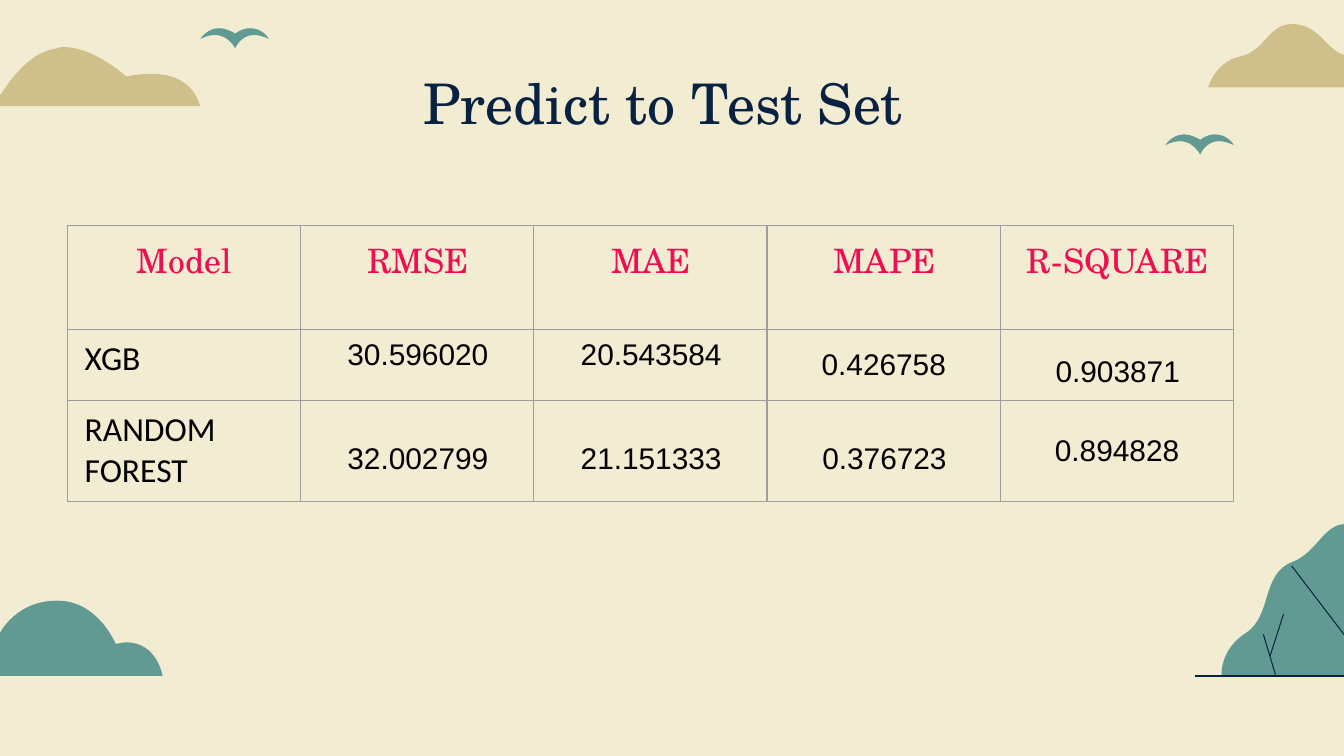
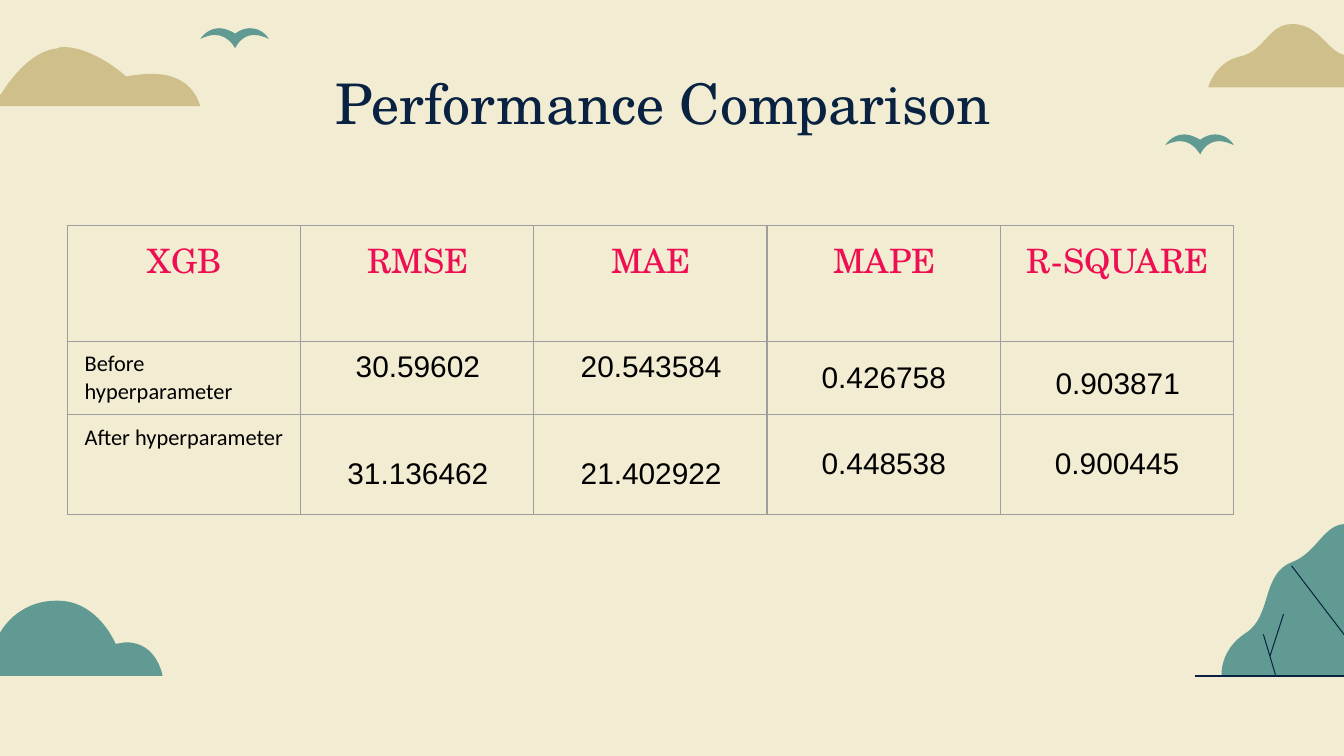
from lxml import etree
from pptx import Presentation
from pptx.dml.color import RGBColor
from pptx.enum import shapes, text
from pptx.oxml import ns
from pptx.util import Inches, Pt

CREAM = RGBColor(0xF2, 0xEC, 0xD2)
SAND = RGBColor(0xCF, 0xBF, 0x8B)
TEAL = RGBColor(0x60, 0x9A, 0x92)
NAVY = RGBColor(0x09, 0x22, 0x42)
PINK = RGBColor(0xED, 0x0F, 0x51)
BLACK = RGBColor(0, 0, 0)
BORDER = "9E9E9E"
SERIF, LABEL_FONT, NUMBER_FONT = "TeX Gyre Schola", "Calibri", "Arial"

# Outlines: a start point, then segments of one point (line) or three (curve).
BIRD = [(.37, 0), (.47, 0, .51, .08, .51, .08), (.47, .06, .43, .05, .4, .05),
        (.3, .05, .26, .15, .26, .15), (.26, .15, .21, .05, .11, .05),
        (.08, .05, .04, .06, 0, .08), (0, .08, .05, 0, .14, 0),
        (.17, 0, .21, .01, .26, .04), (.3, .01, .34, 0, .37, 0)]
RIGHT_DUNE = [(9.61, .18), (9.62, .18, 9.63, .18, 9.64, .18),
              (9.83, .2, 9.88, .39, 10.01, .41),
              (10.12, .44, 10.45, .42, 10.5, .65), (8.99, .65),
              (8.99, .65, 9.04, .46, 9.23, .42),
              (9.41, .38, 9.44, .18, 9.61, .18)]
LEFT_DUNE = [(.47, .35), (.7, .35, .94, .57, .94, .57),
             (.94, .57, 1.03, .55, 1.13, .55),
             (1.26, .55, 1.43, .59, 1.49, .79), (-.31, .79), (.01, .7),
             (.01, .7, .19, .38, .43, .36), (.44, .35, .46, .35, .47, .35)]
BUSH = [(.42, 4.47), (.12, 4.47, 0, 4.71, 0, 4.71),
        (0, 4.71, -.41, 4.71, -.43, 5.03), (1.21, 5.03),
        (1.21, 5.03, 1.17, 4.78, .94, 4.78), (.91, 4.78, .89, 4.79, .86, 4.79),
        (.86, 4.79, .73, 4.47, .43, 4.47), (.43, 4.47, .42, 4.47, .42, 4.47)]
ROCK = [(10.01, 3.9), (9.85, 3.9, 9.8, 4.11, 9.62, 4.18),
        (9.38, 4.27, 9.47, 4.58, 9.27, 4.71), (9.07, 4.84, 9.09, 5.03, 9.09, 5.03),
        (9.09, 5.03), (10.94, 5.03), (10.94, 5.03, 10.91, 4.68, 10.67, 4.51),
        (10.44, 4.35, 10.52, 4.15, 10.19, 3.96),
        (10.12, 3.92, 10.06, 3.9, 10.01, 3.9)]
ROCK_LINES = [(9.61, 4.21, 10.03, 4.76), (9.4, 4.72, 9.49, 5.02),
              (9.55, 4.57, 9.45, 4.88), (8.89, 5.03, 11.11, 5.03)]


def add_outline(s, outline, color, left=0, top=0):
    points = [(Inches(x + left), Inches(y + top))
              for seg in outline for x, y in zip(seg[::2], seg[1::2])]
    builder = s.shapes.build_freeform(*points[0])
    builder.add_line_segments(points[1:], close=True)
    sp = builder.convert_to_shape()
    sp.shadow.inherit = False
    sp.fill.solid()
    sp.fill.fore_color.rgb = color
    sp.line.fill.background()
    bend_segments(sp, outline)


def bend_segments(sp, outline):
    """Merge each three lines that stand for a curve into one cubic curve."""
    lines = iter(list(sp._element.iter(ns.qn("a:lnTo"))))
    for seg in outline[1:]:
        first = next(lines)
        if len(seg) == 6:
            curve = etree.Element(ns.qn("a:cubicBezTo"))
            first.addprevious(curve)
            for line in (first, next(lines), next(lines)):
                curve.append(line[0])
                line.getparent().remove(line)


def add_line(s, ends):
    line = s.shapes.add_connector(shapes.MSO_CONNECTOR.STRAIGHT,
                                  *[Inches(v) for v in ends])
    line.line.color.rgb = NAVY
    line.line.width = Pt(0.54)
    etree.SubElement(line._element.spPr, ns.qn("a:effectLst"))


def add_scenery(s):
    """Draw the landscape on the slide, then move it to the shared layout."""
    kept = len(s.shapes)
    for left, top in ((8.67, 1), (1.49, .21)):
        add_outline(s, BIRD, TEAL, left, top)
    for outline, color in ((RIGHT_DUNE, SAND), (LEFT_DUNE, SAND),
                           (BUSH, TEAL), (ROCK, TEAL)):
        add_outline(s, outline, color)
    for ends in ROCK_LINES:
        add_line(s, ends)
    layout_tree = s.slide_layout.shapes._spTree
    for sp in list(s.shapes)[kept:]:
        layout_tree.append(sp._element)


def write(tf, words, size, font, color, align=text.PP_ALIGN.CENTER, spacing=None):
    p = tf.paragraphs[0]
    p.alignment = align
    if spacing:
        p.line_spacing = spacing
    r = p.add_run()
    r.text = words
    r.font.size = Pt(size)
    r.font.name = font
    r.font.color.rgb = color


def set_title(s, words):
    title = s.shapes.title
    title.left, title.top, title.width, title.height = (
        Inches(v) for v in (.78, .41, 8.42, .52))
    tf = title.text_frame
    tf.auto_size = text.MSO_AUTO_SIZE.NONE
    tf.word_wrap = True
    tf.vertical_anchor = text.MSO_ANCHOR.TOP
    tf.margin_left = tf.margin_right = tf.margin_top = tf.margin_bottom = Inches(.1)
    write(tf, words, 30, SERIF, NAVY)


def set_borders(cell):
    tc_pr = cell._tc.get_or_add_tcPr()
    for i, side in enumerate(("lnL", "lnR", "lnT", "lnB")):
        ln = etree.Element(ns.qn(f"a:{side}"), w=str(Pt(.75)))
        fill = etree.SubElement(ln, ns.qn("a:solidFill"))
        etree.SubElement(fill, ns.qn("a:srgbClr"), val=BORDER)
        tc_pr.insert(i, ln)


def format_cell(cell, middle=False):
    cell.fill.background()
    set_borders(cell)
    if middle:
        cell.vertical_anchor = text.MSO_ANCHOR.MIDDLE
    else:
        cell.margin_left, cell.margin_right = Inches(.13), Inches(.12)
        cell.margin_top = cell.margin_bottom = Inches(.07)


def add_score_table(s, header, rows, header_height, label_size, spacings):
    """Add the scores; a spacing of "middle" centres that cell vertically."""
    heights = (header_height, .53, .74)
    width = Inches(8.68)
    table = s.shapes.add_table(len(heights), len(header), Inches(.5), Inches(1.68),
                               width, Inches(sum(heights))).table
    table.first_row = table.horz_banding = False
    for column in table.columns:
        column.width = width // len(header)
    for row, height in zip(table.rows, heights):
        row.height = Inches(height)

    for c, words in enumerate(header):
        cell = table.cell(0, c)
        format_cell(cell)
        write(cell.text_frame, words, 18, SERIF, PINK)
    for r, (label, *scores) in enumerate(rows, 1):
        cell = table.cell(r, 0)
        format_cell(cell)
        write(cell.text_frame, label, label_size, LABEL_FONT, BLACK,
              align=text.PP_ALIGN.LEFT)
        for c, (score, spacing) in enumerate(zip(scores, spacings[r - 1]), 1):
            cell = table.cell(r, c)
            middle = spacing == "middle"
            format_cell(cell, middle)
            write(cell.text_frame, score, 16, NUMBER_FONT, BLACK,
                  spacing=None if middle else spacing)


def add_score_slide(prs, layout, title, **table):
    s = prs.slides.add_slide(layout)
    set_title(s, title)
    add_score_table(s, **table)
    return s


def main():
    prs = Presentation()
    prs.slide_width, prs.slide_height = Inches(10), Inches(5.625)
    layout = prs.slide_layouts[5]
    layout.background.fill.solid()
    layout.background.fill.fore_color.rgb = CREAM
    metrics = ["RMSE", "MAE", "MAPE", "R-SQUARE"]
    first_row = (None, None, "middle", 1.5)
    s = add_score_slide(
        prs, layout, "Predict to Test Set ", header=["Model"] + metrics,
        rows=[("XGB", "30.596020", "20.543584", "0.426758", "0.903871"),
              ("RANDOM FOREST", "32.002799", "21.151333", "0.376723", "0.894828")],
        header_height=.77, label_size=18,
        spacings=(first_row, (2, 2, 2, "middle")))
    add_scenery(s)
    add_score_slide(
        prs, layout, "Performance Comparison ", header=["XGB"] + metrics,
        rows=[("Before hyperparameter", "30.59602", "20.543584", "0.426758", "0.903871"),
              ("After hyperparameter", "31.136462", "21.402922", "0.448538", "0.900445")],
        header_height=.86, label_size=12,
        spacings=(first_row, (2, 2, "middle", "middle")))
    prs.save("out.pptx")


if __name__ == "__main__":
    main()
